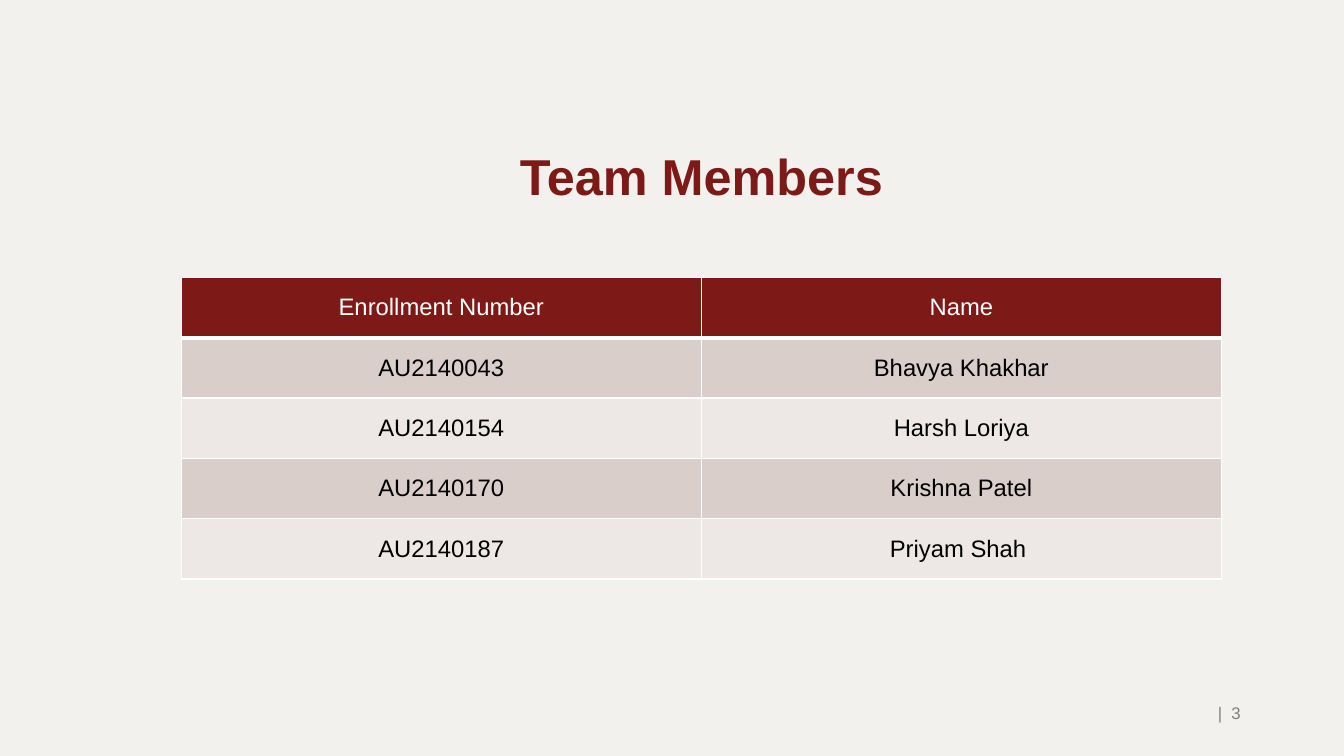
"""Build the team members slide with its title, table and page number."""
from dataclasses import dataclass

from lxml import etree
from pptx import Presentation
from pptx import util as u
from pptx.dml import color
from pptx.enum import text
from pptx.oxml import ns

RED, WHITE, BLACK, GREY = "7D1916", "FFFFFF", "000000", "7F7F7F"
PAPER, BANDS = "F2F1EE", ("D9CECA", "EDE8E6")
LEFT, WIDTH, ROW = 4.57, 26.21, 1.52
THIN, THICK = 1, 3


@dataclass
class Style:
    size: float
    ink: str
    bold: bool = False
    align: text.PP_ALIGN = text.PP_ALIGN.CENTER


@dataclass
class Member:
    number: str
    name: str


HEAD = Member("Enrollment Number", "Name")
TEAM = [
    Member("AU2140043", "Bhavya Khakhar"),
    Member("AU2140154", "Harsh Loriya"),
    Member("AU2140170", "Krishna Patel"),
    Member("AU2140187", "Priyam Shah "),
]


def paint(fill, shade: str) -> None:
    fill.solid()
    fill.fore_color.rgb = color.RGBColor.from_string(shade)


def write(frame, words: str, style: Style) -> None:
    para = frame.paragraphs[0]
    para.alignment = style.align
    run = para.add_run()
    run.text = words
    run.font.name = "Arial"
    run.font.size = u.Pt(style.size)
    run.font.bold = style.bold
    paint(run.font.fill, style.ink)


def place(shape, left: float, top: float, width: float, height: float) -> None:
    shape.left, shape.top = u.Cm(left), u.Cm(top)
    shape.width, shape.height = u.Cm(width), u.Cm(height)


def border(cell, top: float, bottom: float) -> None:
    props = cell._tc.get_or_add_tcPr()
    sides = {"lnL": THIN, "lnR": THIN, "lnT": top, "lnB": bottom}
    for side, size in sides.items():
        line = etree.SubElement(props, ns.qn(f"a:{side}"), w=str(u.Pt(size)))
        fill = etree.SubElement(line, ns.qn("a:solidFill"))
        etree.SubElement(fill, ns.qn("a:srgbClr"), val=WHITE)


def add_title(slide) -> None:
    title = slide.shapes.title
    place(title, LEFT, 2.92, WIDTH, 2.41)
    frame = title.text_frame
    frame.word_wrap = True
    frame.auto_size = text.MSO_AUTO_SIZE.NONE
    frame.vertical_anchor = text.MSO_ANCHOR.BOTTOM
    write(frame, "Team Members", Style(36, RED, True))
    frame.paragraphs[0].line_spacing = 0.9


def add_team(slide) -> None:
    rows = [HEAD, *TEAM]
    table = slide.shapes.add_table(
        len(rows), 2, u.Cm(LEFT), u.Cm(6.99), u.Cm(WIDTH), u.Cm(ROW * len(rows))
    ).table
    for i, member in enumerate(rows):
        ink, shade = (BLACK, BANDS[(i - 1) % 2]) if i else (WHITE, RED)
        for j, words in enumerate((member.number, member.name)):
            cell = table.cell(i, j)
            cell.vertical_anchor = text.MSO_ANCHOR.MIDDLE
            border(cell, THICK if i == 1 else THIN, THIN if i else THICK)
            paint(cell.fill, shade)
            write(cell.text_frame, words, Style(17, ink))


def add_page(slide) -> None:
    box = slide.shapes.add_textbox(u.Cm(30), u.Cm(17.45), u.Cm(1.52), u.Cm(1.04))
    frame = box.text_frame
    frame.word_wrap = True
    frame.vertical_anchor = text.MSO_ANCHOR.MIDDLE
    write(frame, "|  3", Style(12, GREY, align=text.PP_ALIGN.RIGHT))


def main() -> None:
    deck = Presentation()
    deck.slide_width, deck.slide_height = u.Cm(33.87), u.Cm(19.05)
    slide = deck.slides.add_slide(deck.slide_layouts[5])
    paint(slide.background.fill, PAPER)
    add_title(slide)
    add_page(slide)
    add_team(slide)
    deck.save("out.pptx")


if __name__ == "__main__":
    main()
